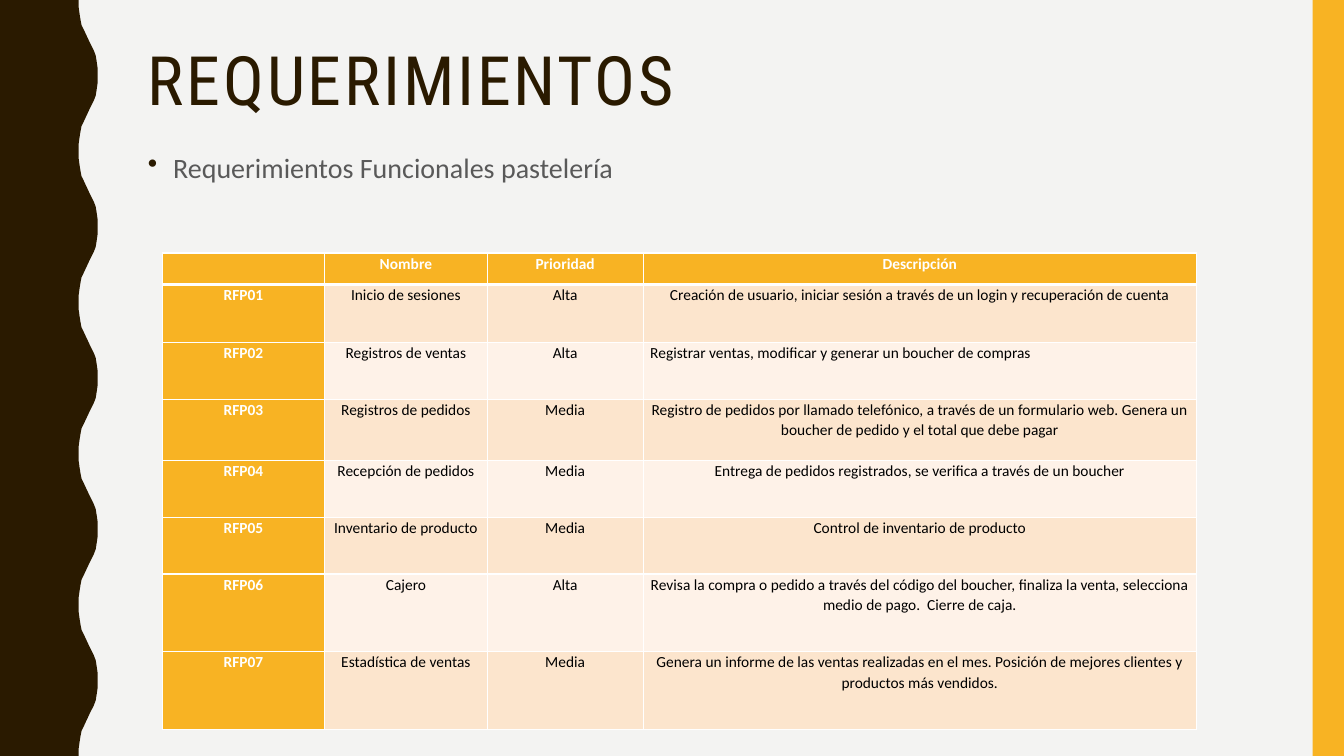
from dataclasses import dataclass

from pptx import Presentation
from pptx.dml.color import RGBColor
from pptx.enum.shapes import MSO_SHAPE
from pptx.enum.text import MSO_ANCHOR, PP_ALIGN
from pptx.oxml.ns import qn
from pptx.util import Pt
from lxml import etree

RECTANGLE = MSO_SHAPE.RECTANGLE
TOP = MSO_ANCHOR.TOP
LEFT, CENTER = PP_ALIGN.LEFT, PP_ALIGN.CENTER


@dataclass(frozen=True)
class Theme:
    background: str = "F3F3F2"
    dark: str = "2A1A00"
    accent: str = "F8B323"
    muted: str = "595959"
    black: str = "000000"
    white: str = "FFFFFF"
    bands: tuple = ("FCE5CD", "FEF2E8")
    title_font: str = "Roboto Condensed"
    body_font: str = "Calibri"
    title_size: float = 48.6
    body_size: float = 20
    table_size: float = 11


THEME = Theme()
SLIDE_WIDTH, SLIDE_HEIGHT = 960, 540

WAVE_PERIOD = 108
# Rising half of one wave, as (x, y) from its innermost to its outermost point.
WAVE_RISE = [
    (56.2, 0), (56.2, 5), (56.9, 10), (57.6, 14.4), (58.3, 18),
    (59.8, 21), (61.2, 24), (62.6, 27), (64, 30), (65.5, 33),
    (67, 36), (68.4, 39.6), (69.1, 44), (69.8, 49), (69.8, 54),
]

COLUMN_WIDTHS = [116, 116, 111.5, 395.2]
ROW_HEIGHTS = [22.5, 41.5, 40.6, 43.6, 40.6, 40.6, 55.5, 55.5]
HEADINGS = ["", "Nombre", "Prioridad", "Descripción"]
REQUIREMENTS = [
    ("Inicio de sesiones", "Alta",
     "Creación de usuario, iniciar sesión a través de un login y recuperación de cuenta"),
    ("Registros de ventas", "Alta",
     "Registrar ventas, modificar y generar un boucher de compras"),
    ("Registros de pedidos", "Media",
     "Registro de pedidos por llamado telefónico, a través de un formulario web. "
     "Genera un boucher de pedido y el total que debe pagar"),
    ("Recepción de pedidos", "Media",
     "Entrega de pedidos registrados, se verifica a través de un boucher"),
    ("Inventario de producto", "Media", "Control de inventario de producto"),
    ("Cajero", "Alta",
     "Revisa la compra o pedido a través del código del boucher, finaliza la venta, "
     "selecciona medio de pago.  Cierre de caja."),
    ("Estadística de ventas", "Media",
     "Genera un informe de las ventas realizadas en el mes. "
     "Posición de mejores clientes y productos más vendidos."),
]
LEFT_ALIGNED_ROW = 2


def rgb(color):
    return RGBColor.from_string(color)


def write(frame, text, *, size, color, font=THEME.body_font, bold=False,
          align=LEFT, line_spacing=1.0, space_before=0, tracking=0):
    """Put text in the first paragraph of the frame and return that paragraph."""
    frame.word_wrap = True
    paragraph = frame.paragraphs[0]
    paragraph.alignment = align
    paragraph.line_spacing = line_spacing
    paragraph.space_before = Pt(space_before)
    run = paragraph.add_run()
    run.text = text
    run.font.name = font
    run.font.size = Pt(size)
    run.font.bold = bold
    run.font.color.rgb = rgb(color)
    if tracking:
        run.font._element.set("spc", str(tracking * 100))
    return paragraph


def add_bullet(paragraph, color, indent):
    properties = paragraph._p.get_or_add_pPr()
    properties.set("marL", str(Pt(indent)))
    properties.set("indent", str(-Pt(indent)))
    bullet_color = etree.SubElement(properties, qn("a:buClr"))
    etree.SubElement(bullet_color, qn("a:srgbClr"), val=color)
    etree.SubElement(properties, qn("a:buChar"), char="•")


def add_text_box(slide, left, top, width, height):
    frame = slide.shapes.add_textbox(Pt(left), Pt(top), Pt(width), Pt(height)).text_frame
    frame.vertical_anchor = TOP
    return frame


def paint(shape, color):
    shape.shadow.inherit = False
    shape.fill.solid()
    shape.fill.fore_color.rgb = rgb(color)
    shape.line.fill.background()


def add_wavy_band(slide):
    wave = WAVE_RISE + [(x, WAVE_PERIOD - y) for x, y in WAVE_RISE[-2:0:-1]]
    edge = [(x, y + number * WAVE_PERIOD)
            for number in range(SLIDE_HEIGHT // WAVE_PERIOD) for x, y in wave]
    outline = edge + [(WAVE_RISE[0][0], SLIDE_HEIGHT), (0, SLIDE_HEIGHT)]
    builder = slide.shapes.build_freeform(0, 0)
    builder.add_line_segments([(Pt(x), Pt(y)) for x, y in outline], close=True)
    paint(builder.convert_to_shape(), THEME.dark)


def add_side_bar(slide):
    bar = slide.shapes.add_shape(RECTANGLE, Pt(937.6), 0, Pt(22.4), Pt(SLIDE_HEIGHT))
    paint(bar, THEME.accent)


def set_borders(cell, top, bottom):
    """Draw white cell borders; they must precede the fill in the XML."""
    properties = cell._tc.get_or_add_tcPr()
    sides = {"a:lnL": 1, "a:lnR": 1, "a:lnT": top, "a:lnB": bottom}
    for position, (side, width) in enumerate(sides.items()):
        border = etree.Element(qn(side), w=str(Pt(width)))
        fill = etree.SubElement(border, qn("a:solidFill"))
        etree.SubElement(fill, qn("a:srgbClr"), val=THEME.white)
        properties.insert(position, border)


def fill_cell(cell, text, *, fill, color, bold, align, top, bottom):
    cell.margin_left = cell.margin_right = Pt(5)
    cell.margin_top = cell.margin_bottom = 0
    cell.vertical_anchor = TOP
    cell.fill.solid()
    cell.fill.fore_color.rgb = rgb(fill)
    set_borders(cell, top, bottom)
    write(cell.text_frame, text, size=THEME.table_size, color=color, bold=bold,
          align=align, line_spacing=1.07)


def add_requirements_table(slide):
    rows = [HEADINGS] + [(f"RFP{number:02}", *requirement)
                         for number, requirement in enumerate(REQUIREMENTS, 1)]
    table = slide.shapes.add_table(
        len(rows), len(HEADINGS), Pt(116), Pt(180.7),
        Pt(sum(COLUMN_WIDTHS)), Pt(sum(ROW_HEIGHTS))).table
    table.horz_banding = False
    for column, width in zip(table.columns, COLUMN_WIDTHS):
        column.width = Pt(width)
    for r, (row, height) in enumerate(zip(rows, ROW_HEIGHTS)):
        table.rows[r].height = Pt(height)
        for c, text in enumerate(row):
            heading = r == 0 or c == 0
            description = c == len(row) - 1
            fill_cell(
                table.cell(r, c), text, bold=heading,
                fill=THEME.accent if heading else THEME.bands[(r - 1) % 2],
                color=THEME.white if heading else THEME.black,
                align=LEFT if description and r == LEFT_ALIGNED_ROW else CENTER,
                top=3 if r == 1 else 1, bottom=3 if r == 0 else 1)


def main():
    presentation = Presentation()
    presentation.slide_width = Pt(SLIDE_WIDTH)
    presentation.slide_height = Pt(SLIDE_HEIGHT)
    slide = presentation.slides.add_slide(presentation.slide_layouts[6])
    slide.background.fill.solid()
    slide.background.fill.fore_color.rgb = rgb(THEME.background)

    add_wavy_band(slide)
    add_side_bar(slide)
    title = add_text_box(slide, 98.6, 30.2, 801.4, 117.4)
    write(title, "REQUERIMIENTOS", size=THEME.title_size, color=THEME.dark,
          font=THEME.title_font, line_spacing=0.9, tracking=2)
    body = add_text_box(slide, 98.6, 101.5, 801.4, 283)
    subtitle = write(body, "Requerimientos Funcionales pastelería", size=THEME.body_size,
                     color=THEME.muted, line_spacing=1.1, space_before=7)
    add_bullet(subtitle, THEME.dark, indent=18)
    add_requirements_table(slide)
    presentation.save("out.pptx")


if __name__ == "__main__":
    main()
